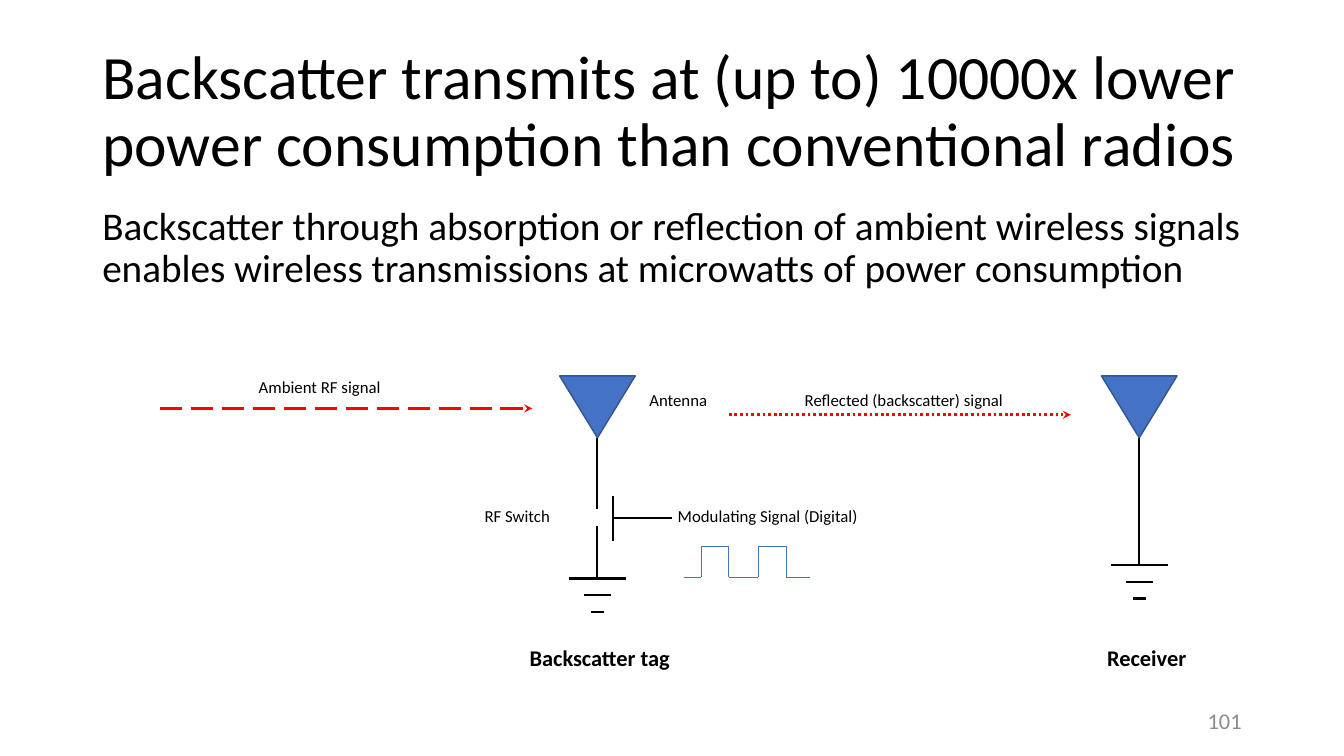
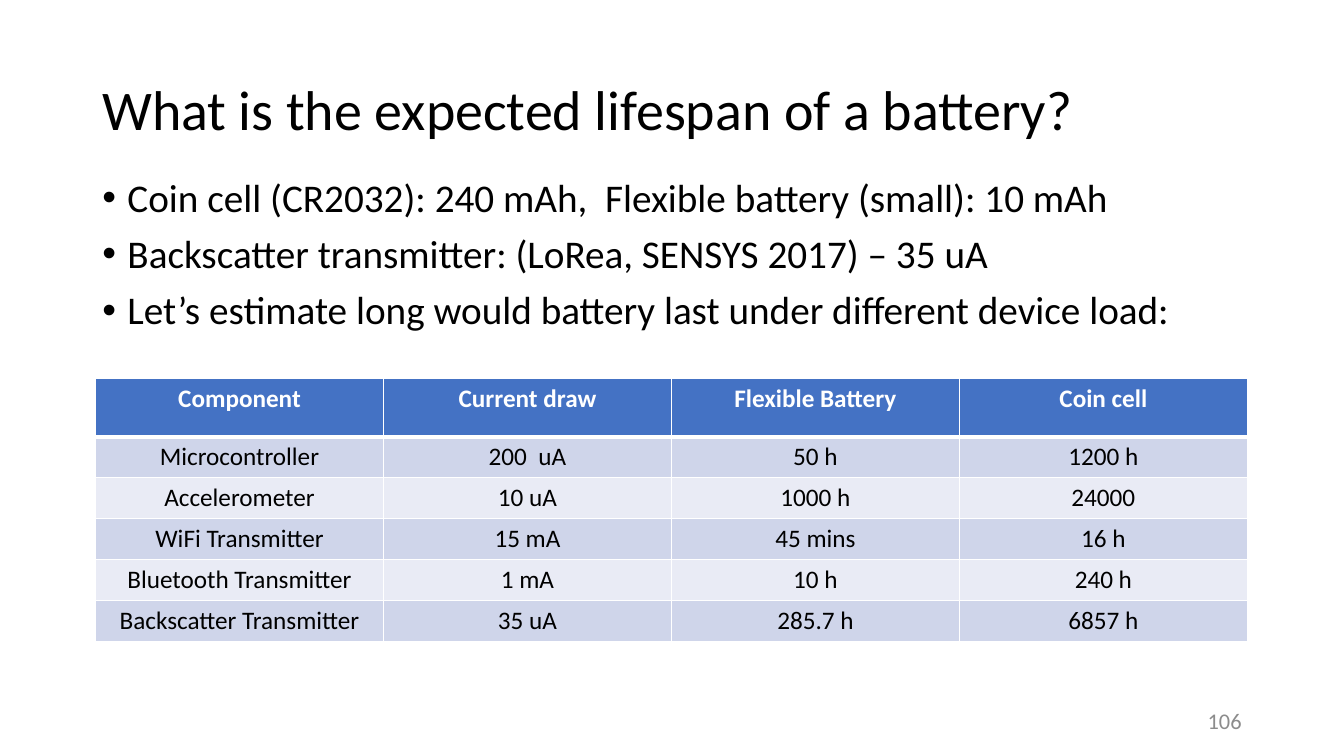
import itertools

import lxml.etree
import pptx
import pptx.dml.color
import pptx.enum.dml
import pptx.enum.shapes
import pptx.enum.text
import pptx.oxml.ns
import pptx.util

PX = 9525
COLORS = {
    "black": "000000", "white": "FFFFFF", "gray": "8C8C8C", "red": "FF0000",
    "blue": "4472C4", "outline": "325491", "band": "CFD5EA", "light": "E9EBF5",
}
ALIGN = pptx.enum.text.PP_ALIGN
ANCHOR = pptx.enum.text.MSO_ANCHOR
DASH = pptx.enum.dml.MSO_LINE
TITLE_BOX = (88, 38, 1104, 139)
NUMBER_BOX = (904, 667, 288, 38)

TEXT_STYLES = {
    "title": {"font": {"size": 44}, "paragraph": {"line_spacing": 0.9}, "anchor": ANCHOR.MIDDLE},
    "small_title": {"font": {"size": 40}, "paragraph": {"line_spacing": 0.9}, "anchor": ANCHOR.MIDDLE},
    "body": {"font": {"size": 28}, "paragraph": {"line_spacing": 0.9}},
    "label": {"font": {"size": 12}},
    "caption": {"font": {"size": 16, "bold": True}},
    "number": {"font": {"size": 16}, "color": "gray", "paragraph": {"alignment": ALIGN.RIGHT},
               "anchor": ANCHOR.MIDDLE},
    "header": {"font": {"size": 18, "bold": True}, "color": "white",
               "paragraph": {"alignment": ALIGN.CENTER}},
    "cell": {"font": {"size": 18, "bold": False}, "paragraph": {"alignment": ALIGN.CENTER}},
}
LINE_STYLES = {
    "wire": {"color": "black", "width": 1.5},
    "wave": {"color": "blue", "width": 0.5},
    "ambient": {"color": "red", "width": 2, "dash": DASH.LONG_DASH, "arrow": "stealth"},
    "reflected": {"color": "red", "width": 2, "dash": DASH.ROUND_DOT, "arrow": "stealth"},
}

LABELS = [
    ("RF Switch", (300, 123, 85, 29), "label"),
    ("Modulating Signal (Digital)", (484, 123, 203, 29), "label"),
    ("Antenna", (457, 12, 86, 29), "label"),
    ("Ambient RF signal", (85, 0, 227, 29), "label"),
    ("Reflected (backscatter) signal", (605, 12, 227, 29), "label"),
    ("Backscatter tag", (343, 255, 169, 36), "caption"),
    ("Receiver", (893, 255, 121, 36), "caption"),
]
BATTERY_ROWS = [
    ("Component", "Current draw", "Flexible Battery", "Coin cell"),
    ("Microcontroller", "200  uA", "50 h", "1200 h"),
    ("Accelerometer", "10 uA", "1000 h", "24000"),
    ("WiFi Transmitter", "15 mA", "45 mins", "16 h"),
    ("Bluetooth Transmitter", "1 mA", "10 h", "240 h"),
    ("Backscatter Transmitter", "35 uA", "285.7 h", "6857 h"),
]


def to_emu(lengths):
    """Turn px lengths into EMU."""
    return [pptx.util.Emu(length * PX) for length in lengths]


def get_color(name):
    """Look up a named colour."""
    return pptx.dml.color.RGBColor.from_string(COLORS[name])


def within(box, part):
    """Move a part's left and top by those of its box."""
    return (box[0] + part[0], box[1] + part[1], *part[2:])


def add_child(parent, tag, **attributes):
    """Append a DrawingML element."""
    return lxml.etree.SubElement(parent, pptx.oxml.ns.qn(tag), **attributes)


def write_paragraph(paragraph, text, style):
    """Write one run in a named text style."""
    for name, value in style.get("paragraph", {}).items():
        setattr(paragraph, name, value)
    run = paragraph.add_run()
    run.text = text
    run.font.name = "Calibri"
    for name, value in style["font"].items():
        setattr(run.font, name, pptx.util.Pt(value) if name == "size" else value)
    run.font.color.rgb = get_color(style.get("color", "black"))


def draw_text(slide, box, texts, style_name, bullets=False):
    """Place a text box with one paragraph per text."""
    style = TEXT_STYLES[style_name]
    frame = slide.shapes.add_textbox(*to_emu(box)).text_frame
    frame.word_wrap = True
    frame.vertical_anchor = style.get("anchor", ANCHOR.TOP)
    for index, text in enumerate(texts):
        paragraph = frame.add_paragraph() if index else frame.paragraphs[0]
        paragraph.space_before = pptx.util.Pt(10 if index else 0)
        write_paragraph(paragraph, text, style)
        if bullets:
            properties = paragraph._p.get_or_add_pPr()
            properties.set("marL", str(24 * PX))
            properties.set("indent", str(-24 * PX))
            add_child(properties, "a:buFont", typeface="Arial")
            add_child(properties, "a:buChar", char="•")


def draw_lines(slide, box, points, style_name="wire"):
    """Join points, given relative to the box, by straight lines."""
    style = LINE_STYLES[style_name]
    for start, end in itertools.pairwise(within(box, point) for point in points):
        connector = slide.shapes.add_connector(
            pptx.enum.shapes.MSO_CONNECTOR.STRAIGHT, *to_emu(start + end))
        connector.line.color.rgb = get_color(style["color"])
        connector.line.width = pptx.util.Pt(style["width"])
        if "dash" in style:
            connector.line.dash_style = style["dash"]
        if "arrow" in style:
            add_child(connector.line._get_or_add_ln(), "a:tailEnd", type=style["arrow"])
        add_child(connector._element.spPr, "a:effectLst")


def draw_antenna(slide, box, masts):
    """Draw an antenna, its mast pieces and the ground below the last one."""
    left, top, width, height = box
    triangle = slide.shapes.add_shape(
        pptx.enum.shapes.MSO_SHAPE.ISOSCELES_TRIANGLE, *to_emu(box))
    triangle.rotation = 180
    triangle.shadow.inherit = False
    triangle.fill.solid()
    triangle.fill.fore_color.rgb = get_color("blue")
    triangle.line.color.rgb = get_color("outline")
    triangle.line.width = pptx.util.Pt(1)
    foot = (left + width // 2, top + height)
    for start, end in masts:
        draw_lines(slide, foot, [(0, start), (0, end)])
    for step, half in enumerate((27, 13, 6)):
        level = masts[-1][1] + 16 * step
        draw_lines(slide, foot, [(-half, level), (half, level)])


def draw_diagram(slide, box):
    """Draw the signal chain from the ambient source to the receiver."""
    draw_antenna(slide, within(box, (381, 4, 72, 59)), [(0, 68), (84, 134)])
    draw_antenna(slide, within(box, (897, 4, 72, 59)), [(0, 121)])
    draw_lines(slide, box, [(432, 118), (432, 161)])
    draw_lines(slide, box, [(488, 139), (432, 139)])
    draw_lines(slide, box, [(0, 35), (355, 35)], "ambient")
    draw_lines(slide, box, [(542, 41), (868, 41)], "reflected")
    low, high = 196, 166
    edges = zip((516, 542, 570, 597), itertools.cycle([(low, high), (high, low)]))
    pulses = [(edge, level) for edge, levels in edges for level in levels]
    draw_lines(slide, box, [(499, low), *pulses, (619, low)], "wave")
    for text, part, style_name in LABELS:
        draw_text(slide, within(box, part), [text], style_name)


def format_cell(cell, fill, borders):
    """Set a cell's white borders and its fill."""
    properties = cell._tc.get_or_add_tcPr()
    for side, width in borders.items():
        border = add_child(properties, f"a:ln{side}", w=str(pptx.util.Pt(width)))
        add_child(add_child(border, "a:solidFill"), "a:srgbClr", val=COLORS["white"])
    cell.fill.solid()
    cell.fill.fore_color.rgb = get_color(fill)


def draw_table(slide, box, rows):
    """Draw a banded table with a taller header row."""
    table = slide.shapes.add_table(len(rows), len(rows[0]), *to_emu(box)).table
    for column in table.columns:
        column.width = pptx.util.Emu(box[2] * PX // len(rows[0]))
    for index, texts in enumerate(rows):
        table.rows[index].height = pptx.util.Emu((39 if index else 56) * PX)
        fill = ("band" if index % 2 else "light") if index else "blue"
        borders = {"L": 1, "R": 1, "T": 3 if index == 1 else 1, "B": 1 if index else 3}
        for column, text in enumerate(texts):
            cell = table.cell(index, column)
            format_cell(cell, fill, borders)
            write_paragraph(cell.text_frame.paragraphs[0], text,
                            TEXT_STYLES["cell" if index else "header"])


def add_slide(presentation, title, number, title_style):
    """Add a blank slide with its title and number."""
    slide = presentation.slides.add_slide(presentation.slide_layouts[6])
    draw_text(slide, TITLE_BOX, [title], title_style)
    draw_text(slide, NUMBER_BOX, [number], "number")
    return slide


def build_backscatter_slide(presentation):
    """Build the slide on backscatter transmission."""
    slide = add_slide(
        presentation,
        "Backscatter transmits at (up to) 10000x lower power consumption than conventional radios",
        "101", "title")
    draw_text(slide, (88, 192, 1104, 110), [
        "Backscatter through absorption or reflection of ambient wireless signals "
        "enables wireless transmissions at microwatts of power consumption"], "body")
    draw_diagram(slide, (152, 354, 1013, 290))


def build_battery_slide(presentation):
    """Build the slide on battery lifespan."""
    slide = add_slide(presentation, "What is the expected lifespan of a battery?",
                      "106", "small_title")
    draw_text(slide, (88, 165, 1192, 180), [
        "Coin cell (CR2032): 240 mAh,  Flexible battery (small): 10 mAh",
        "Backscatter transmitter: (LoRea, SENSYS 2017) – 35 uA",
        "Let’s estimate long would battery last under different device load:",
    ], "body", bullets=True)
    draw_table(slide, (91, 360, 1097, 251), BATTERY_ROWS)


def main():
    """Build and save the presentation."""
    presentation = pptx.Presentation()
    presentation.slide_width, presentation.slide_height = to_emu((1280, 720))
    build_backscatter_slide(presentation)
    build_battery_slide(presentation)
    presentation.save("out.pptx")


if __name__ == "__main__":
    main()
